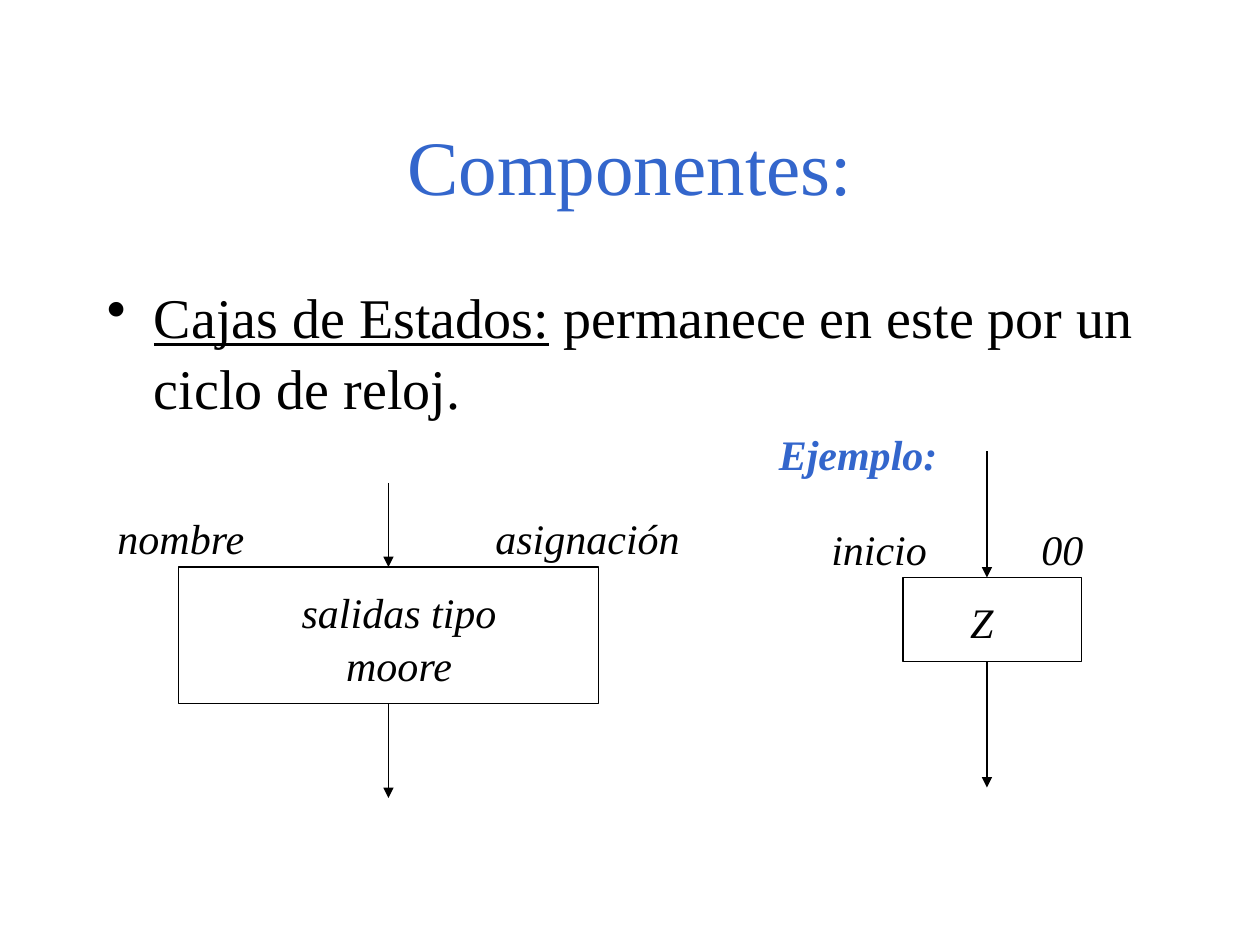
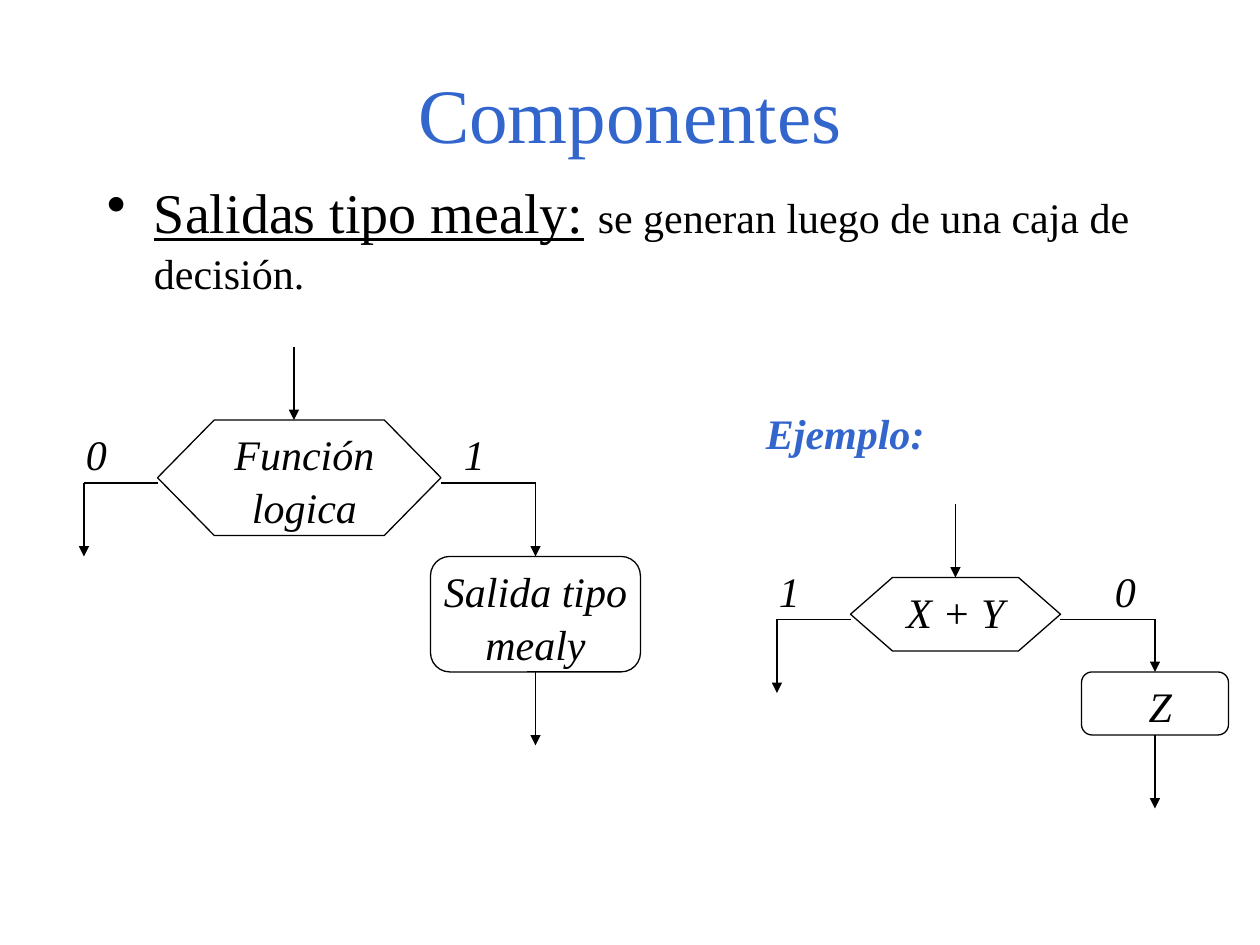
from dataclasses import dataclass

from lxml import etree
from pptx import Presentation
from pptx import util as u
from pptx.dml.color import RGBColor
from pptx.enum import shapes, text
from pptx.oxml.ns import qn


@dataclass(frozen=True)
class Theme:
    font: str = "Times New Roman"
    ink: RGBColor = RGBColor(0, 0, 0)
    blue: RGBColor = RGBColor(0x33, 0x66, 0xCC)
    head: int = 44
    body: int = 32
    label: int = 24
    line: float = 0.75
    lead: float = 1.05


T = Theme()
KIND = shapes.MSO_SHAPE
LEFT, MID = text.PP_ALIGN.LEFT, text.PP_ALIGN.CENTER
TOP, BASE = 0, 2  # connection sites


def grid(n):
    """The drawing grid has 12 steps to the inch."""
    return u.Cm(n * 2.54 / 12)


def area(x, y, w, h):
    return [grid(n) for n in (x, y, w, h)]


# Text
def frame(slide, place, align, size, color=T.ink):
    tf = slide.shapes.add_textbox(*area(*place)).text_frame
    tf.word_wrap = True
    para = tf.paragraphs[0]
    para.alignment = align
    para.line_spacing = T.lead
    para.font.name = T.font
    para.font.size = u.Pt(size)
    para.font.color.rgb = color
    return tf, para


def title(slide, words, y):
    tf, para = frame(slide, (9, y, 102, 15), MID, T.head, T.blue)
    tf.vertical_anchor = text.MSO_ANCHOR.MIDDLE
    para.text = words


def bullet(slide, y, gap, term, *rest):
    """Underlined term, then (words, size) pairs."""
    para = frame(slide, (9, y, 102, 54), LEFT, T.body)[1]
    para.space_before = u.Pt(gap)
    props = para._p.get_or_add_pPr()
    dent = u.Cm(0.95)
    props.set("marL", str(dent))
    props.set("indent", str(-dent))
    etree.SubElement(props, qn("a:buChar")).set("char", "•")
    # The bullet mark must come before the default run properties
    props.append(props.find(qn("a:defRPr")))
    for words, size in ((term, T.body), *rest):
        run = para.add_run()
        run.text = words
        run.font.name = T.font
        run.font.size = u.Pt(size)
        run.font.color.rgb = T.ink
        run.font.underline = words == term


def label(slide, words, x, y, w, h=6, align=LEFT, color=T.ink, bold=False):
    tf, para = frame(slide, (x, y, w, h), align, T.label, color)
    tf.auto_size = text.MSO_AUTO_SIZE.SHAPE_TO_FIT_TEXT
    para.space_before = u.Pt(15)
    para.text = words
    para.font.italic = True
    para.font.bold = bold


def sample(slide, x, y, w, align=LEFT):
    label(slide, "Ejemplo:", x, y, w, align=align, color=T.blue, bold=True)


# Flow chart
def box(slide, kind, *place):
    shape = slide.shapes.add_shape(kind, *area(*place))
    shape.shadow.inherit = False
    shape.fill.background()
    shape.line.color.rgb = T.ink
    shape.line.width = u.Pt(T.line)
    return shape


def line(slide, x1, y1, x2, y2):
    link = slide.shapes.add_connector(
        shapes.MSO_CONNECTOR.STRAIGHT, *area(x1, y1, x2, y2))
    link.line.color.rgb = T.ink
    link.line.width = u.Pt(T.line)
    etree.SubElement(link._element.spPr, qn("a:effectLst"))
    return link


def arrow(slide, x, y1, y2, start=None, end=None):
    """Arrow down; start and end are the boxes it joins."""
    link = line(slide, x, y1, x, y2)
    etree.SubElement(link.line._get_or_add_ln(), qn("a:tailEnd")).set(
        "type", "triangle")
    if start:
        link.begin_connect(start, BASE)
    if end:
        link.end_connect(end, TOP)


def branch(slide, x1, x2, y, drop, end=None):
    """Line sideways from x1 to x2, then an arrow down."""
    line(slide, x1, y, x2, y)
    arrow(slide, x2, y, y + drop, end=end)


# Slides
def states(slide):
    title(slide, "Componentes:", 8)
    bullet(slide, 26, 8, "Cajas de Estados:",
           (" permanece en este por un ciclo de reloj.", T.body))

    # General state box
    state = box(slide, KIND.RECTANGLE, 17, 54, 40, 13)
    arrow(slide, 37, 46, 54, end=state)
    arrow(slide, 37, 67, 76, start=state)
    label(slide, "nombre", 10, 48, 16)
    label(slide, "asignación", 46, 48, 23)
    label(slide, "salidas tipo moore", 25, 55, 26, 10.8, MID)

    # Example; its arrows run slightly left of the centre
    sample(slide, 73, 40, 19)
    box(slide, KIND.RECTANGLE, 86, 55, 17, 8)
    for y in (43, 63):
        arrow(slide, 94, y, y + 12)
    label(slide, "inicio", 78, 49, 13)
    label(slide, "00", 98, 49, 9)
    label(slide, "Z", 89, 56, 9, align=MID)


def mealy(slide):
    title(slide, "Componentes", 3)
    bullet(slide, 16, 6, "Salidas tipo mealy:", (" ", T.body),
           ("se generan luego de una caja de decisión.", T.label))

    # General decision and output
    box(slide, KIND.FLOWCHART_PREPARATION, 15, 40, 27, 11)
    out = box(slide, KIND.ROUNDED_RECTANGLE, 41, 53, 20, 11)
    arrow(slide, 28, 33, 40)
    branch(slide, 15, 8, 46, 7)
    branch(slide, 42, 51, 46, 7, out)
    arrow(slide, 51, 64, 71, start=out)
    label(slide, "Función logica", 20, 40, 18, 10.8, MID)
    label(slide, "0", 7, 40, 6)
    label(slide, "1", 43, 40, 6)
    label(slide, "Salida tipo mealy", 40, 53, 22, 10.8, MID)

    # Example
    sample(slide, 70, 38, 21, MID)
    test = box(slide, KIND.FLOWCHART_PREPARATION, 81, 55, 20, 7)
    out = box(slide, KIND.ROUNDED_RECTANGLE, 103, 64, 14, 6)
    arrow(slide, 91, 48, 55, end=test)
    branch(slide, 81, 74, 59, 7)
    branch(slide, 101, 110, 59, 5, out)
    arrow(slide, 110, 70, 77, start=out)
    label(slide, "X + Y", 83, 55, 16, align=MID)
    label(slide, "1", 73, 53, 6)
    label(slide, "0", 105, 53, 6)
    label(slide, "Z", 105, 64, 11, align=MID)


def main():
    deck = Presentation()
    deck.slide_width, deck.slide_height = u.Cm(25.4), u.Cm(19.05)
    for draw in (states, mealy):
        draw(deck.slides.add_slide(deck.slide_layouts[6]))
    deck.save("out.pptx")


if __name__ == "__main__":
    main()
